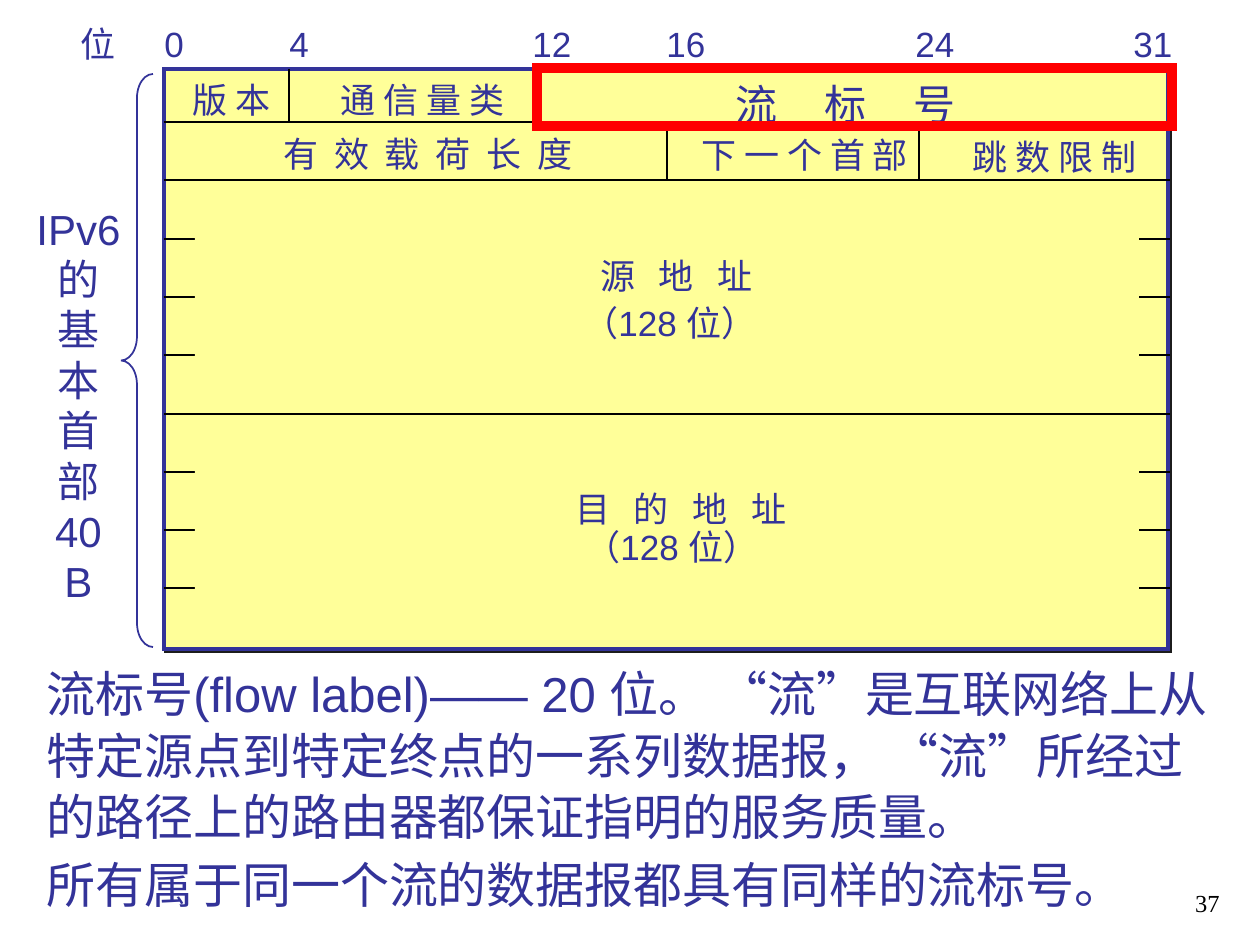
import lxml.etree
import pptx
import pptx.dml.color
import pptx.enum.shapes
import pptx.enum.text
import pptx.oxml.ns
import pptx.util

EMU_PER_PX = 914400 / 126
ALIGN = pptx.enum.text.PP_ALIGN
ANCHOR = pptx.enum.text.MSO_ANCHOR
AUTO_SIZE = pptx.enum.text.MSO_AUTO_SIZE
SHAPE = pptx.enum.shapes.MSO_SHAPE


def px(*lengths):
    return [round(length * EMU_PER_PX) for length in lengths]


def color(value):
    return pptx.dml.color.RGBColor.from_string(value)


def add_child(parent, tag, **attributes):
    return lxml.etree.SubElement(parent, pptx.oxml.ns.qn(tag), attributes)


def write_text(frame, text, size=20, font="Arial", ink="333399", align=ALIGN.LEFT,
               spacing=None, before=0, bullets_off=False):
    for index, line in enumerate(text.split("\n")):
        paragraph = frame.paragraphs[0] if index == 0 else frame.add_paragraph()
        paragraph.alignment = align
        paragraph.space_before = pptx.util.Pt(before if index else 0)
        if spacing:
            paragraph.line_spacing = spacing
        if bullets_off:
            properties = paragraph._p.get_or_add_pPr()
            properties.set("marL", "0")
            properties.set("indent", "0")
            add_child(properties, "a:buNone")
        run = paragraph.add_run()
        run.text = line
        run.font.size = pptx.util.Pt(size)
        run.font.name = font
        run.font.color.rgb = color(ink)


class HeaderSlide:
    ink = "333399"
    paper = "FFFF99"

    def __init__(self, presentation):
        self.slide = presentation.slides.add_slide(presentation.slide_layouts[1])
        title = self.slide.shapes.title._element
        title.getparent().remove(title)

    def shape(self, box, kind=SHAPE.RECTANGLE, fill=None, line=None, width=1):
        shape = self.slide.shapes.add_shape(kind, *px(*box))
        shape.shadow.inherit = False
        if fill:
            shape.fill.solid()
            shape.fill.fore_color.rgb = color(fill)
        else:
            shape.fill.background()
        if line:
            shape.line.color.rgb = color(line)
            shape.line.width = pptx.util.Pt(width)
            add_child(shape.line._get_or_add_ln(), "a:miter", lim="800000")
        else:
            shape.line.fill.background()
        return shape

    def drop_shadow(self, shape):
        effects = shape._element.spPr.find(pptx.oxml.ns.qn("a:effectLst"))
        shadow = add_child(effects, "a:outerShdw", dist="17780", dir="2700000",
                           algn="ctr", rotWithShape="0")
        add_child(shadow, "a:srgbClr", val="1C1C1C")

    def line(self, *ends):
        connector = self.slide.shapes.add_connector(
            pptx.enum.shapes.MSO_CONNECTOR.STRAIGHT, *px(*ends))
        connector.line.color.rgb = color("000000")
        connector.line.width = pptx.util.Pt(1)
        add_child(connector._element.spPr, "a:effectLst")

    def text(self, box, text, **style):
        frame = self.slide.shapes.add_textbox(*px(*box)).text_frame
        frame.word_wrap = False
        frame.auto_size = AUTO_SIZE.SHAPE_TO_FIT_TEXT
        write_text(frame, text, **style)

    def body(self, box, text, **style):
        body = self.slide.placeholders[1]
        body.left, body.top, body.width, body.height = px(*box)
        frame = body.text_frame
        frame.auto_size = AUTO_SIZE.NONE
        frame.vertical_anchor = ANCHOR.TOP
        write_text(frame, text, bullets_off=True, **style)

    def page_number(self, box, number):
        frame = self.slide.shapes.add_textbox(*px(*box)).text_frame
        frame.word_wrap = True
        frame.vertical_anchor = ANCHOR.BOTTOM
        write_text(frame, number, size=14, font="Times New Roman",
                   ink="000000", align=ALIGN.RIGHT)


def main():
    presentation = pptx.Presentation()
    presentation.slide_width, presentation.slide_height = px(1260, 945)
    header = HeaderSlide(presentation)

    left, right, top = 164, 1170, 69
    rows = [round(122 + 58.3 * row) for row in range(9)]
    frame = header.shape((left, top, 1004, 580), fill=header.paper,
                         line=header.ink, width=2.25)
    header.drop_shadow(frame)
    for y in rows:
        header.line(left, y, right, y)
    for bit, start, end in ((4, top, rows[0]), (12, top, rows[0]),
                            (16, rows[0], rows[1]), (24, rows[0], rows[1])):
        x = 163 + bit * 63 // 2
        header.line(x, start, x, end)
    for y in (219, 452):
        header.shape((195, y, 944, 156), fill=header.paper)

    for x, width, label in ((68, 60, "位"), (152, 44, "0"), (277, 44, "4"),
                            (520, 64, "12"), (654, 64, "16"),
                            (903, 64, "24"), (1121, 64, "31")):
        header.text((x, 16, width, 54), label)
    for x, y, width, label in (
            (180, 72, 103, "版 本"),
            (328, 72, 189, "通 信 量 类"),
            (271, 126, 314, "有  效  载  荷  长  度"),
            (689, 127, 232, "下 一 个 首 部"),
            (960, 129, 189, "跳 数 限 制"),
            (588, 248, 178, "源   地   址"),
            (571, 295, 215, "（128 位）"),
            (563, 481, 236, "目   的   地   址"),
            (573, 519, 215, "（128 位）")):
        header.text((x, y, width, 54), label)
    header.text((723, 72, 246, 63), "流     标     号", size=24)

    brace = header.shape((121, 74, 32, 573), kind=SHAPE.LEFT_BRACE, line=header.ink)
    brace.adjustments[0] = 1.5
    brace.adjustments[0] = 0.75
    header.text((23, 197, 111, 416), "IPv6\n的\n基\n本\n首\n部\n40 B",
                size=24, align=ALIGN.CENTER)
    header.shape((537, 68, 635, 58), line="FF0000", width=6)

    header.body((34, 654, 1191, 266),
                "流标号(flow label)—— 20 位。 “流”是互联网络上从特定源点到特定终点的一系列数据报，"
                " “流”所经过的路径上的路由器都保证指明的服务质量。\n"
                "所有属于同一个流的数据报都具有同样的流标号。",
                size=28, spacing=1.05, before=3.5)
    header.page_number((970, 861, 262, 63), "37")
    presentation.save("out.pptx")


if __name__ == "__main__":
    main()
